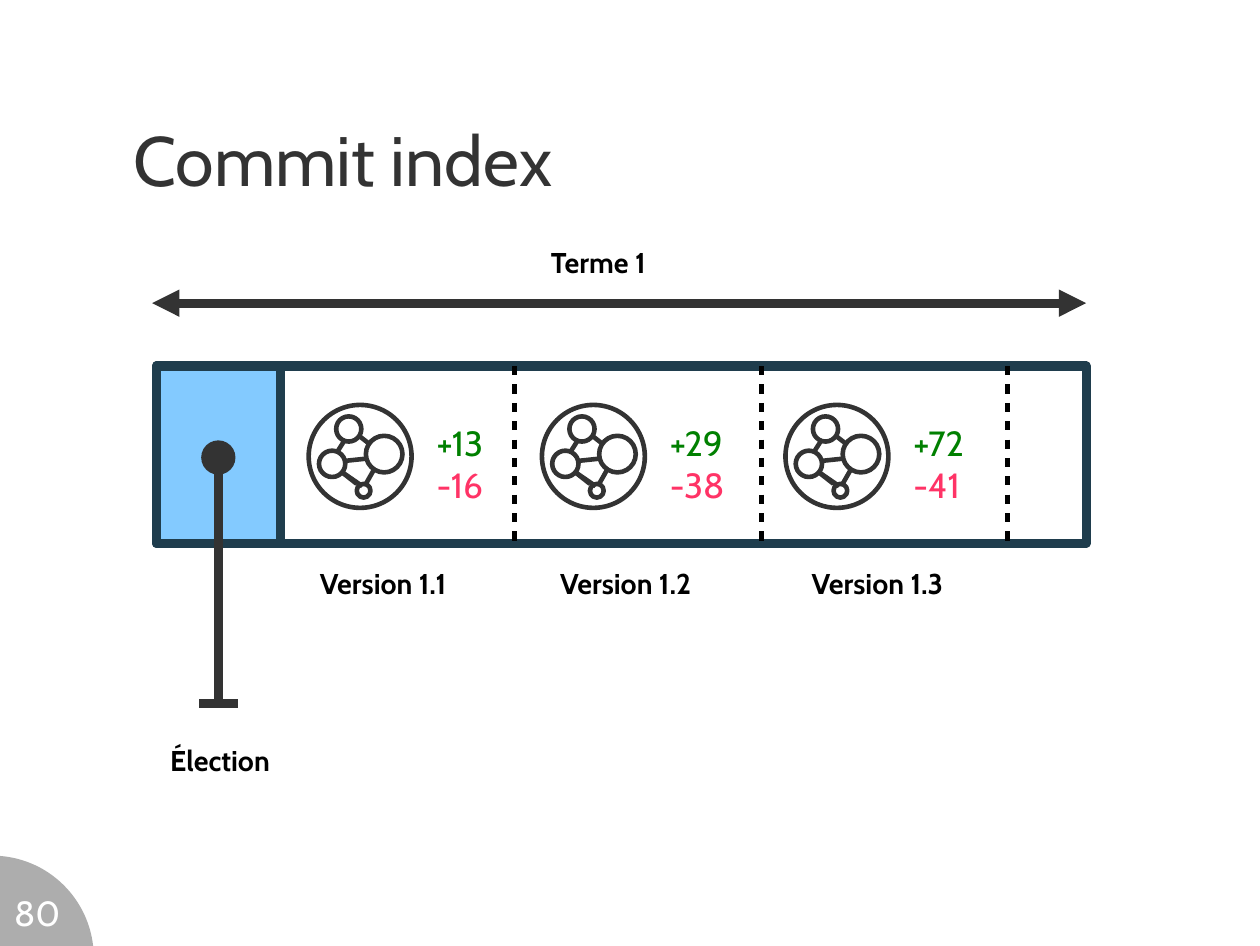
import pptx
import pptx.dml.color
import pptx.enum.shapes
import pptx.enum.text
import pptx.oxml
import pptx.oxml.ns
import pptx.util
from pptx.util import Inches

COLORS = {
    "dark": "333333", "frame": "1F3D4D", "election": "83CAFF", "black": "000000",
    "white": "FFFFFF", "added": "008000", "removed": "FF3366",
}
FONT = "Cabin"
THICK, THIN = 5.75, 2.89
SHAPES = pptx.enum.shapes.MSO_SHAPE
ANCHORS = pptx.enum.text.MSO_ANCHOR
ALIGNMENTS = pptx.enum.text.PP_ALIGN

# Offsets from the top left corner of an icon
NODES = [(0.09, 0.4, 0.23), (0.5, 0.27, 0.32), (0.42, 0.69, 0.12), (0.24, 0.1, 0.22)]
EDGES = [
    ((0.28, 0.58), (0.47, 0.71)), ((0.5, 0.69), (0.58, 0.55)),
    ((0.53, 0.34), (0.44, 0.27)), ((0.25, 0.41), (0.32, 0.3)),
    ((0.28, 0.58), (0.42, 0.69)), ((0.31, 0.49), (0.5, 0.47)),
]
# Label, label left, icon left, lines added, lines removed
VERSIONS = [
    ("Version 1.1", 2.7, 2.7, "+13", "-16"),
    ("Version 1.2", 4.8, 4.74, "+29", "-38"),
    ("Version 1.3", 7, 6.87, "+72", "-41"),
]


def rgb(name):
    return pptx.dml.color.RGBColor.from_string(COLORS[name])


def add_xml(parent, tag, **attributes):
    element = pptx.oxml.parse_xml(f"<a:{tag} {pptx.oxml.ns.nsdecls('a')}/>")
    for name, value in attributes.items():
        element.set(name, str(value))
    parent.append(element)
    return element


def write(frame, lines, size=18, color="black", bold=False, align=ALIGNMENTS.LEFT,
          anchor=ANCHORS.TOP, margins=(0.1, 0.05), spacing=None):
    """Fill a text frame; each line is a text or a (text, color) pair."""
    frame.word_wrap = True
    frame.auto_size = pptx.enum.text.MSO_AUTO_SIZE.NONE
    frame.vertical_anchor = anchor
    frame.margin_left = frame.margin_right = Inches(margins[0])
    frame.margin_top = frame.margin_bottom = Inches(margins[1])
    for index, line in enumerate(lines):
        text, line_color = (line, color) if isinstance(line, str) else line
        paragraph = frame.paragraphs[0] if index == 0 else frame.add_paragraph()
        paragraph.alignment = align
        paragraph.line_spacing = spacing
        run = paragraph.add_run()
        run.text = text
        run.font.name = FONT
        run.font.size = pptx.util.Pt(size)
        run.font.bold = bold
        run.font.color.rgb = rgb(line_color)


class SlideBuilder:
    def __init__(self, slide):
        self.slide = slide

    def title(self, text, *box):
        title = self.slide.shapes.title
        title.left, title.top, title.width, title.height = map(Inches, box)
        write(title.text_frame, [text], size=44, color="dark",
              anchor=ANCHORS.MIDDLE, margins=(0, 0), spacing=1.5)

    def text(self, lines, *box, **style):
        textbox = self.slide.shapes.add_textbox(*map(Inches, box))
        write(textbox.text_frame, lines, **style)

    def shape(self, kind, *box, fill=None, line=None, width=THIN, opacity=None, group=None):
        shapes = (group or self.slide).shapes
        shape = shapes.add_shape(kind, *map(Inches, box))
        shape.shadow.inherit = False
        if fill:
            shape.fill.solid()
            shape.fill.fore_color.rgb = rgb(fill)
        else:
            shape.fill.background()
        if opacity:
            color = shape.fill._xPr.find(".//" + pptx.oxml.ns.qn("a:srgbClr"))
            add_xml(color, "alpha", val=opacity * 1000)
        if line:
            shape.line.color.rgb = rgb(line)
            shape.line.width = pptx.util.Pt(width)
        else:
            shape.line.fill.background()

    def line(self, start, end, color="dark", width=THIN, dashed=False, arrows=False, group=None):
        shapes = (group or self.slide).shapes
        connector = shapes.add_connector(
            pptx.enum.shapes.MSO_CONNECTOR.STRAIGHT, *map(Inches, (*start, *end)))
        connector.line.color.rgb = rgb(color)
        connector.line.width = pptx.util.Pt(width)
        add_xml(connector._element.spPr, "effectLst")
        outline = connector.line._get_or_add_ln()
        if dashed:
            add_xml(add_xml(outline, "custDash"), "ds", d=200000, sp=200000)
        if arrows:
            for tag in ("headEnd", "tailEnd"):
                add_xml(outline, tag, type="triangle")

    def cluster_icon(self, left, top):
        """Draw linked nodes inside a circle."""
        group = self.slide.shapes.add_group_shape()
        self.shape(SHAPES.OVAL, left, top, 0.9, 0.9, fill="white", line="dark", group=group)
        for x, y, size in NODES:
            self.shape(SHAPES.OVAL, left + x, top + y, size, size, line="dark", group=group)
        for (x1, y1), (x2, y2) in EDGES:
            self.line((left + x1, top + y1), (left + x2, top + y2), group=group)

    def election_marker(self, x, top, bottom):
        group = self.slide.shapes.add_group_shape()
        self.line((x, top), (x, bottom), width=THICK, group=group)
        self.shape(SHAPES.OVAL, x - 0.15, top - 0.1, 0.3, 0.3, fill="dark", group=group)
        self.line((x + 0.17, bottom), (x - 0.17, bottom), width=THICK, group=group)


def main():
    presentation = pptx.Presentation()
    presentation.slide_width = Inches(11.02)
    presentation.slide_height = Inches(8.27)
    slide = presentation.slides.add_slide(presentation.slide_layouts[5])
    builder = SlideBuilder(slide)

    builder.shape(SHAPES.OVAL, -0.96, 7.48, 1.78, 1.78, fill="dark", opacity=40)
    builder.text(["80"], 0.09, 7.79, 0.47, 0.39, size=22, color="white",
                 align=ALIGNMENTS.CENTER, margins=(0, 0))
    builder.title("Commit index", 1.17, 0.58, 4.01, 1.25)

    builder.text(["Terme 1"], 4.72, 2.09, 1.38, 0.44, bold=True)
    builder.line((1.33, 2.65), (9.5, 2.65), width=THICK, arrows=True)

    builder.shape(SHAPES.RECTANGLE, 1.37, 3.2, 8.13, 1.55, line="frame", width=THICK)
    builder.shape(SHAPES.RECTANGLE, 1.37, 3.2, 1.08, 1.55,
                  fill="election", line="frame", width=THICK)
    builder.election_marker(1.91, 3.95, 6.15)
    builder.text(["Élection"], 1.39, 6.45, 1.38, 0.44, bold=True)

    for x in (4.5, 6.66, 8.81):
        builder.line((x, 3.2), (x, 4.76), color="black", dashed=True)
    for label, label_left, icon_left, added, removed in VERSIONS:
        builder.cluster_icon(icon_left, 3.54)
        builder.text([(added, "added"), (removed, "removed")],
                     icon_left + 1.02, 3.64, 0.72, 0.93, size=22)
        builder.text([label], label_left, 4.9, 1.7, 0.44, bold=True)

    presentation.save("out.pptx")


if __name__ == "__main__":
    main()
